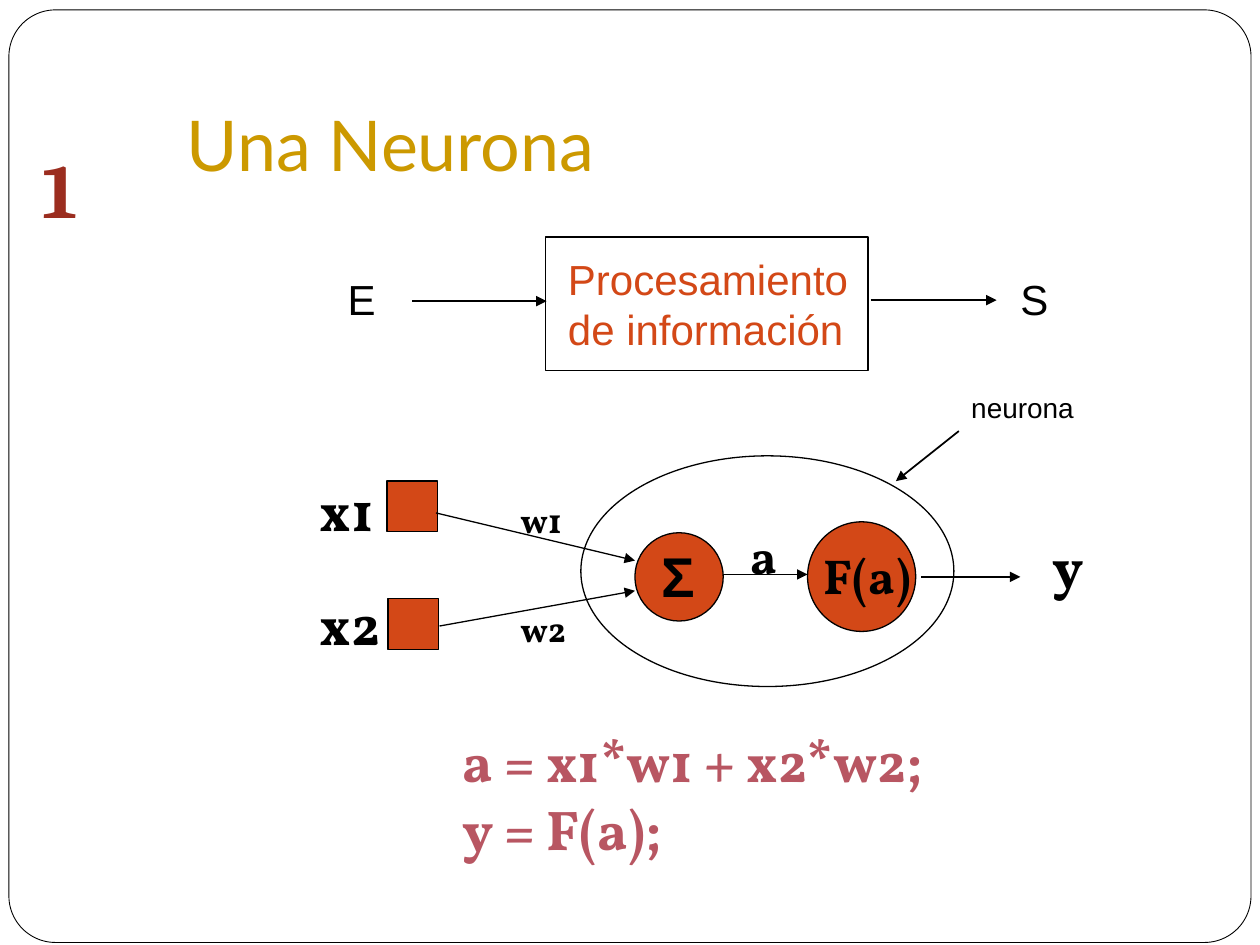
from pptx import Presentation
from pptx import util as u
from pptx.dml.color import RGBColor
from pptx.enum import shapes, text
from pptx.oxml.ns import qn
from lxml import etree

THEME = {
    "ink": "000000", "paper": "FFFFFF", "gold": "CC9900",
    "rust": "D34817", "rose": "B85662", "brick": "9B2D1F",
    "head": ("Lato", 40, False), "sans": ("Arial", 24, False),
    "note": ("Arial", 16, False), "sum": ("Arial", 32, True),
    "big": ("Vollkorn", 32, True), "mid": ("Vollkorn", 28, True),
    "small": ("Vollkorn", 20, True), "page": ("Cambria", 44, True),
}

# Content: lengths in cm
TITLE = ("Una Neurona", (3.51, 1.88, 21.59, 2.11))
FRAME = ("ROUNDED_RECTANGLE", (0.18, 0.2, 25.04, 18.8), "paper", 0.5)
NODES = [  # kind, place, fill, line width
    ("RECTANGLE", (11, 4.78, 6.5, 2.69), None, 1),
    ("RECTANGLE", (7.8, 9.7, 1.02, 1.02), "rust", 0.75),
    ("RECTANGLE", (7.82, 12.07, 1.02, 1.02), "rust", 0.75),
    ("OVAL", (12.8, 10.74, 1.78, 1.78), "rust", 0.75),
    ("OVAL", (16.28, 10.52, 2.18, 2.21), "rust", 0.75),
    ("OVAL", (11.71, 9.19, 7.52, 4.65), None, 0.75),
]
ARROWS = [  # from x, from y, to x, to y, line width
    (8.31, 6.07, 11.02, 6.07, 1),
    (17.55, 6.05, 20.09, 6.05, 1),
    (19.33, 8.69, 18.06, 9.7, 1),
    (14.58, 11.58, 16.28, 11.58, 0.75),
    (18.57, 11.63, 20.57, 11.63, 0.75),
    (8.79, 10.34, 12.8, 11.3, 0.75),
    (8.86, 12.62, 12.8, 11.91, 0.75),
]
LABELS = [  # words, place, type, colour, wrap
    ("E", (6.76, 5.38, 1.07, 1.27), "sans", "ink", False),
    ("S", (20.32, 5.38, 1.07, 1.27), "sans", "ink", False),
    ("Procesamiento\nde información", (11.2, 4.98, 6.15, 2.29),
     "sans", "rust", False),
    ("a = x1*w1 + x2*w2;\ny = F(a);", (9.07, 14.53, 10.11, 2.95),
     "big", "rose", False),
    ("neurona", (19.33, 7.75, 2.57, 0.91), "note", "ink", False),
    ("Σ", (13.08, 10.8, 1.42, 1.6), "sum", "ink", True),
    ("F(a)", (16.36, 10.87, 2.34, 1.45), "mid", "ink", True),
    ("x1", (6.2, 9.47, 1.85, 1.6), "big", "ink", True),
    ("x2", (6.2, 11.76, 1.93, 1.6), "big", "ink", True),
    ("w1", (10.24, 9.93, 1.6, 1.09), "small", "ink", True),
    ("w2", (10.24, 12.12, 1.65, 1.09), "small", "ink", True),
    ("y", (20.96, 10.59, 1.22, 1.6), "big", "ink", True),
    ("a", (14.88, 10.46, 1.02, 1.45), "mid", "ink", True),
]
PAGE = ("1", (0.61, 2.72, 0.89, 1.9), "page", "brick", False)


def cm(place):
    return [u.Cm(n) for n in place]


def tint(name):
    return RGBColor.from_string(THEME[name])


def write(frame, words, style, hue, align=text.PP_ALIGN.LEFT):
    frame.text = words
    face, size, bold = THEME[style]
    for para in frame.paragraphs:
        para.alignment = align
        for run in para.runs:
            font = run.font
            font.name, font.size, font.bold = face, u.Pt(size), bold
            font.color.rgb = tint(hue)


def node(slide, kind, place, fill, width):
    shape = slide.shapes.add_shape(
        getattr(shapes.MSO_SHAPE, kind), *cm(place))
    shape.shadow.inherit = False
    if fill:
        shape.fill.solid()
        shape.fill.fore_color.rgb = tint(fill)
    else:
        shape.fill.background()
    shape.line.color.rgb = tint("ink")
    shape.line.width = u.Pt(width)
    return shape


def arrow(slide, *ends, width):
    link = slide.shapes.add_connector(
        shapes.MSO_CONNECTOR.STRAIGHT, *cm(ends))
    link.line.color.rgb = tint("ink")
    link.line.width = u.Pt(width)
    etree.SubElement(link.line._get_or_add_ln(), qn("a:tailEnd"),
                     type="triangle")
    etree.SubElement(link._element.spPr, qn("a:effectLst"))


def label(slide, words, place, style, hue, wrap, **more):
    frame = slide.shapes.add_textbox(*cm(place)).text_frame
    frame.word_wrap = wrap
    write(frame, words, style, hue, **more)


def main():
    deck = Presentation()
    deck.slide_width, deck.slide_height = u.Cm(25.4), u.Cm(19.05)
    slide = deck.slides.add_slide(deck.slide_layouts[5])

    # Border behind everything
    border = node(slide, *FRAME)
    border.adjustments[0] = 0.05
    slide.shapes._spTree.insert(2, border._element)

    # Title
    words, place = TITLE
    head = slide.shapes.title
    head.left, head.top, head.width, head.height = cm(place)
    write(head.text_frame, words, "head", "gold")
    head.text_frame.vertical_anchor = text.MSO_ANCHOR.BOTTOM
    head.text_frame.margin_bottom = u.Cm(0.25)

    # Diagram
    for item in NODES:
        node(slide, *item)
    for *ends, width in ARROWS:
        arrow(slide, *ends, width=width)
    for item in LABELS:
        label(slide, *item)

    # Page number
    label(slide, *PAGE, align=text.PP_ALIGN.CENTER)
    deck.save("out.pptx")


if __name__ == "__main__":
    main()
